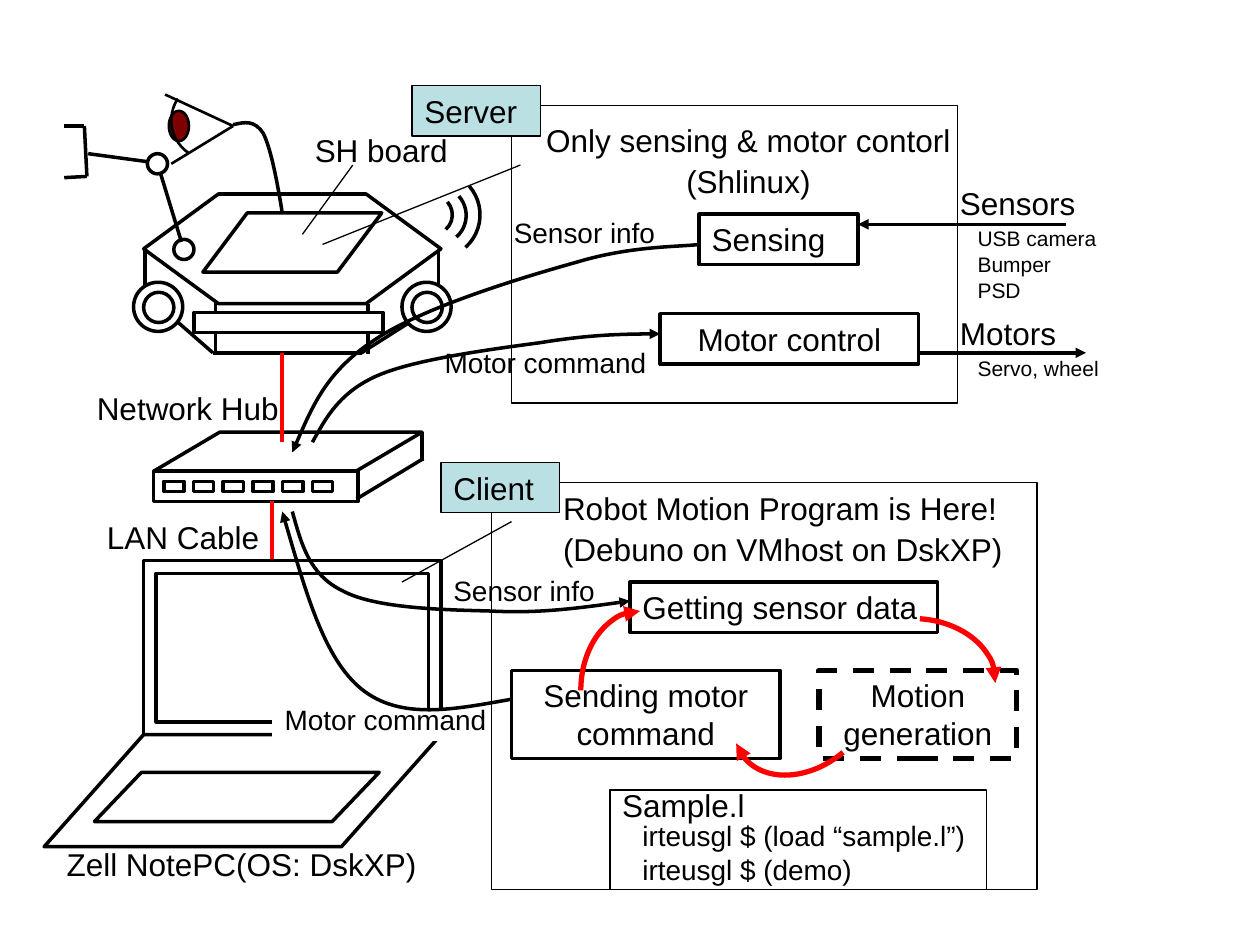
from pptx import Presentation
from pptx.dml.color import RGBColor
from pptx.enum.dml import MSO_LINE as Dash
from pptx.enum.shapes import MSO_CONNECTOR as Conn, MSO_SHAPE as Form
from pptx.enum.text import MSO_ANCHOR as Anchor, MSO_AUTO_SIZE as Fit, PP_ALIGN as Align
from pptx.oxml.ns import qn
from pptx.util import Inches, Pt
from lxml.etree import SubElement as Sub

BLACK = RGBColor(0, 0, 0)
WHITE = RGBColor(255, 255, 255)
RED = RGBColor(255, 0, 0)
MAROON = RGBColor(128, 0, 0)
TEAL = RGBColor(0xBB, 0xE0, 0xE3)


class Area:
    """A region whose parts are placed from its top left corner."""

    def __init__(self, slide, x, y):
        self.shapes, self.x, self.y = slide.shapes, x, y

    def spot(self, x, y):
        return Inches(self.x + x), Inches(self.y + y)

    def form(self, kind, x, y, w, h, fill=None, width=2, adj=None):
        shape = self.shapes.add_shape(kind, *self.spot(x, y), Inches(w), Inches(h))
        shape.shadow.inherit = False
        if fill is None:
            shape.fill.background()
        else:
            shape.fill.solid()
            shape.fill.fore_color.rgb = fill
        if width:
            ink(shape, BLACK, width)
        else:
            shape.line.fill.background()
        if adj:
            shape.adjustments[0] = adj
        return shape

    def rect(self, *box, **style):
        return self.form(Form.RECTANGLE, *box, **style)

    def oval(self, x, y, size):
        return self.form(Form.OVAL, x, y, size, size, fill=WHITE)

    def arc(self, x, y, w, h, start, end, turn=0, color=BLACK, width=2, arrow=False):
        """Arc between two angles in degrees, then turned."""
        shape = self.form(Form.ARC, x, y, w, h)
        for n, angle in enumerate((start, end)):
            shape.adjustments[n] = angle * 0.6
        shape.rotation = turn
        ink(shape, color, width, arrow)

    def line(self, a, b, color=BLACK, width=2, arrow=False):
        link = self.shapes.add_connector(Conn.STRAIGHT, *self.spot(*a), *self.spot(*b))
        ink(link, color, width, arrow)
        Sub(link._element.spPr, qn("a:effectLst"))

    def curve(self, start, *pts, arrow=True):
        """Chain of cubic curves: a start, then three points for each."""
        pen = self.shapes.build_freeform(*self.spot(*start), scale=1.0)
        pen.add_line_segments([self.spot(*p) for p in pts], close=False)
        shape = pen.convert_to_shape()
        shape.shadow.inherit = False
        shape.fill.background()
        ink(shape, BLACK, 2, arrow)
        track = next(shape._element.iter(qn("a:path")))
        legs = track.findall(qn("a:lnTo"))
        for k in range(0, len(legs), 3):
            bend = Sub(track, qn("a:cubicBezTo"))
            for leg in legs[k:k + 3]:
                bend.append(leg[0])
                track.remove(leg)

    def text(self, x, y, w, h, *lines, **style):
        box = self.shapes.add_textbox(*self.spot(x, y), Inches(w), Inches(h))
        write(box, *lines, **style)

    def label(self, x, y, w, h, word, **style):
        write(self.rect(x, y, w, h, **style), word)


def ink(shape, color, width, arrow=False):
    shape.line.color.rgb = color
    shape.line.width = Pt(width)
    if arrow:
        Sub(shape.line._get_or_add_ln(), qn("a:tailEnd"), type="triangle")


def write(shape, *lines, size=18, small=None, align=Align.LEFT, tight=False):
    frame = shape.text_frame
    frame.word_wrap = True
    frame.auto_size = Fit.SHAPE_TO_FIT_TEXT
    frame.vertical_anchor = Anchor.TOP
    for n, line in enumerate(lines):
        par = frame.add_paragraph() if n else frame.paragraphs[0]
        par.text = line
        par.alignment = align
        points = small if n and small else size
        par.space_before = Pt(10 if small and n == 1 else points * 0.625)
        if n or tight:
            par.line_spacing = 0.5
        if n and small:
            par._p.get_or_add_pPr().set("marL", str(Inches(0.14)))
        font = par.runs[0].font
        font.name, font.size, font.color.rgb = "Arial", Pt(points), BLACK


def robot(slide, x, y):
    area = Area(slide, x, y)
    # Body
    area.form(Form.HEXAGON, 0.64, 0.84, 2.36, 0.87, fill=WHITE, adj=0.682)
    for px, top in ((0.65, 1.26), (1.21, 1.7), (2.42, 1.71), (2.98, 1.3)):
        area.line((px, top), (px, top + 0.4))
    base = [(0.64, 1.62), (1.19, 2.1), (2.37, 2.1), (3, 1.7)]
    for a, b in zip(base, base[1:]):
        area.line(a, b)
    # Wheels
    for px in (0.56, 2.69):
        area.oval(px, 1.54, 0.39)
        area.oval(px + 0.08, 1.62, 0.24)
    # Eye and neck
    area.line((0.81, 0.05), (1.35, 0.3), width=1.5)
    area.line((0.86, 0.6), (1.35, 0.3), width=1.5)
    area.form(Form.OVAL, 0.84, 0.18, 0.16, 0.24, fill=MAROON, width=1.5)
    area.arc(0.86, -0.06, 0.63, 0.63, 180, 270, turn=303.1, width=1.5)
    area.curve((1.35, 0.29), (1.44, 0.27), (1.52, 0.25), (1.59, 0.36),
               (1.65, 0.48), (1.7, 0.74), (1.74, 0.99), arrow=False)
    # Arm and gripper
    area.oval(0.88, 1.2, 0.16)
    area.line((0.94, 1.22), (0.76, 0.63))
    area.line((0.72, 0.59), (0.2, 0.52))
    grip = [(0.01, 0.3), (0.17, 0.3), (0.19, 0.7), (0.01, 0.71)]
    for a, b in zip(grip, grip[1:]):
        area.line(a, b)
    area.oval(0.67, 0.52, 0.16)
    # Board, radio waves and bumper
    area.form(Form.PARALLELOGRAM, 1.11, 0.99, 1.42, 0.47, adj=0.75)
    for px, py, size in ((2.78, 0.85, 0.31), (2.74, 0.78, 0.46), (2.62, 0.66, 0.69)):
        area.arc(px, py, size, size, 270, 0, turn=48.4)
    area.rect(1.04, 1.78, 1.5, 0.16, fill=WHITE)
    area.text(1.9, 0.29, 1.57, 0.4, "SH board")
    area.line((1.9, 1.16), (2.3, 0.61), width=0.75)


def hub(slide, x, y):
    area = Area(slide, x, y)
    area.form(Form.PARALLELOGRAM, 0, 0, 2.13, 0.31, adj=1.692)
    area.rect(0, 0.31, 1.62, 0.24)
    area.line((2.13, 0), (2.13, 0.23))
    area.line((1.61, 0.53), (2.14, 0.21))
    for n in range(6):
        area.rect(0.08 + n * 0.236, 0.39, 0.16, 0.08)
    # Cables up to the robot and down to the laptop
    area.line((1.02, -0.63), (1.02, 0.08), color=RED)
    area.line((0.94, 0.55), (0.94, 1.02), color=RED)
    area.text(-0.55, -0.39, 1.73, 0.4, "Network Hub")
    area.text(-0.47, 0.63, 1.57, 0.4, "LAN Cable")


def laptop(slide, x, y):
    area = Area(slide, x, y)
    area.rect(0.79, 0, 2.36, 1.38)
    area.rect(0.89, 0.1, 2.16, 1.18)
    area.form(Form.PARALLELOGRAM, 0, 1.38, 3.15, 0.89, adj=0.888)
    area.form(Form.PARALLELOGRAM, 0.4, 1.68, 2.26, 0.39, adj=0.956)
    area.text(0.08, 2.21, 3.15, 0.4, "Zell NotePC(OS: DskXP)")


def server(slide, x, y):
    area = Area(slide, x, y)
    area.text(0.08, 0.07, 3.6, 0.71, "Only sensing & motor contorl", "(Shlinux)",
              align=Align.CENTER)
    # Tasks
    area.label(1.49, 0.86, 1.26, 0.4, "Sensing")
    write(area.rect(1.18, 1.65, 2.05, 0.4), "Motor control", align=Align.CENTER)
    area.rect(0, 0, 3.54, 2.36, width=0.75)
    area.line((-1.5, 1.1), (0.07, 0.47), width=0.75)
    # Devices
    area.text(3.46, 0.7, 1.5, 0.92, "Sensors", "USB camera", "Bumper", "PSD",
              small=12, tight=True)
    area.text(3.46, 1.73, 1.5, 0.51, "Motors", "Servo, wheel", small=12, tight=True)
    area.line((4.4, 0.94), (2.75, 0.94), arrow=True)
    area.line((3.22, 1.96), (4.56, 1.96), arrow=True)
    # Flows to and from the hub
    area.curve((1.49, 1.1), (1.33, 1.12), (0.95, 1.11), (0.52, 1.24), (0.09, 1.36),
               (-0.71, 1.6), (-1.09, 1.86), (-1.47, 2.11), (-1.6, 2.43), (-1.74, 2.75))
    area.curve((-1.58, 2.67), (-1.47, 2.47), (-1.36, 2.27), (-1.06, 2.14), (-0.76, 2.01),
               (-0.14, 1.93), (0.23, 1.88), (0.6, 1.82), (0.89, 1.81), (1.18, 1.81))
    area.text(-0.08, 0.94, 1.58, 0.24, "Sensor info", size=16, tight=True)
    area.text(-0.63, 1.97, 1.81, 0.24, "Motor command", size=16, tight=True)
    area.label(-0.79, -0.16, 1.02, 0.4, "Server", fill=TEAL, width=0.75)


def client(slide, x, y):
    area = Area(slide, x, y)
    area.text(0.47, 0, 4.02, 0.71, "Robot Motion Program is Here!",
              "(Debuno on VMhost on DskXP)")
    # Sample session
    area.rect(0.94, 2.44, 2.99, 0.79, width=0.75)
    area.text(1.1, 2.73, 3.15, 0.51, "irteusgl $ (load “sample.l”)", "irteusgl $ (demo)",
              size=16, tight=True)
    area.text(0.94, 2.36, 1.34, 0.4, "Sample.l")
    # Tasks
    area.label(1.1, 0.79, 2.44, 0.4, "Getting sensor data")
    motion = area.rect(2.6, 1.49, 1.57, 0.7, width=3)
    motion.line.dash_style = Dash.DASH
    write(motion, "Motion generation", align=Align.CENTER)
    write(area.rect(0.16, 1.49, 2.13, 0.7), "Sending motor command", align=Align.CENTER)
    # Flow labels
    area.text(-0.4, 0.79, 1.58, 0.24, "Sensor info", size=16, tight=True)
    write(area.rect(-1.74, 1.81, 1.81, 0.24, fill=WHITE, width=0), "Motor command",
          size=16, tight=True)
    # Loop between the tasks
    for px, py, end, turn in ((0.71, 1.02, 270, 0), (2.02, 1.15, 282, 230.1),
                              (2.9, 0.92, 270, 93.7)):
        area.arc(px, py, 0.94, 1.26, 180, end, turn, color=RED, width=3, arrow=True)
    # Flows to and from the hub
    area.curve((-1.58, 0.23), (-1.51, 0.48), (-1.45, 0.73), (-1.18, 0.86), (-0.92, 1),
               (-0.38, 1.01), (0, 1.02), (0.38, 1.04), (0.74, 0.99), (1.1, 0.94))
    area.curve((0.16, 1.72), (-0.29, 1.8), (-0.72, 1.89), (-1.03, 1.64),
               (-1.33, 1.4), (-1.49, 0.81), (-1.66, 0.23))
    # Frame and its tag
    area.rect(0, 0, 4.33, 3.23, width=0.75)
    area.line((-0.71, 0.79), (0.16, 0.31), width=0.75)
    area.label(-0.4, -0.16, 0.94, 0.4, "Client", fill=TEAL, width=0.75)


def main():
    deck = Presentation()
    deck.slide_width, deck.slide_height = Inches(10), Inches(7.5)
    slide = deck.slides.add_slide(deck.slide_layouts[6])
    robot(slide, 0.5, 0.7)
    hub(slide, 1.22, 3.43)
    laptop(slide, 0.35, 4.45)
    server(slide, 4.06, 0.84)
    client(slide, 3.9, 3.83)
    deck.save("out.pptx")


if __name__ == "__main__":
    main()
